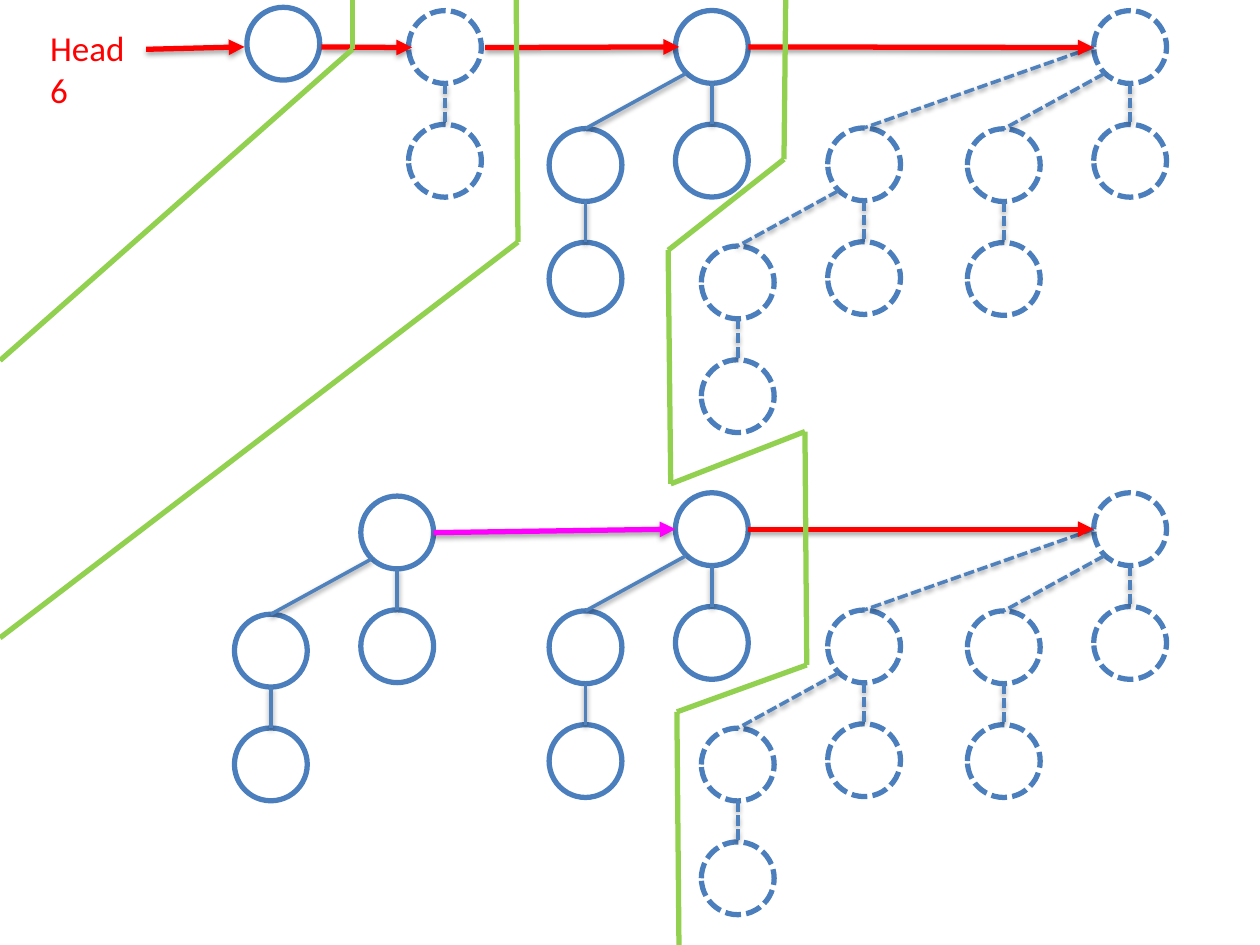
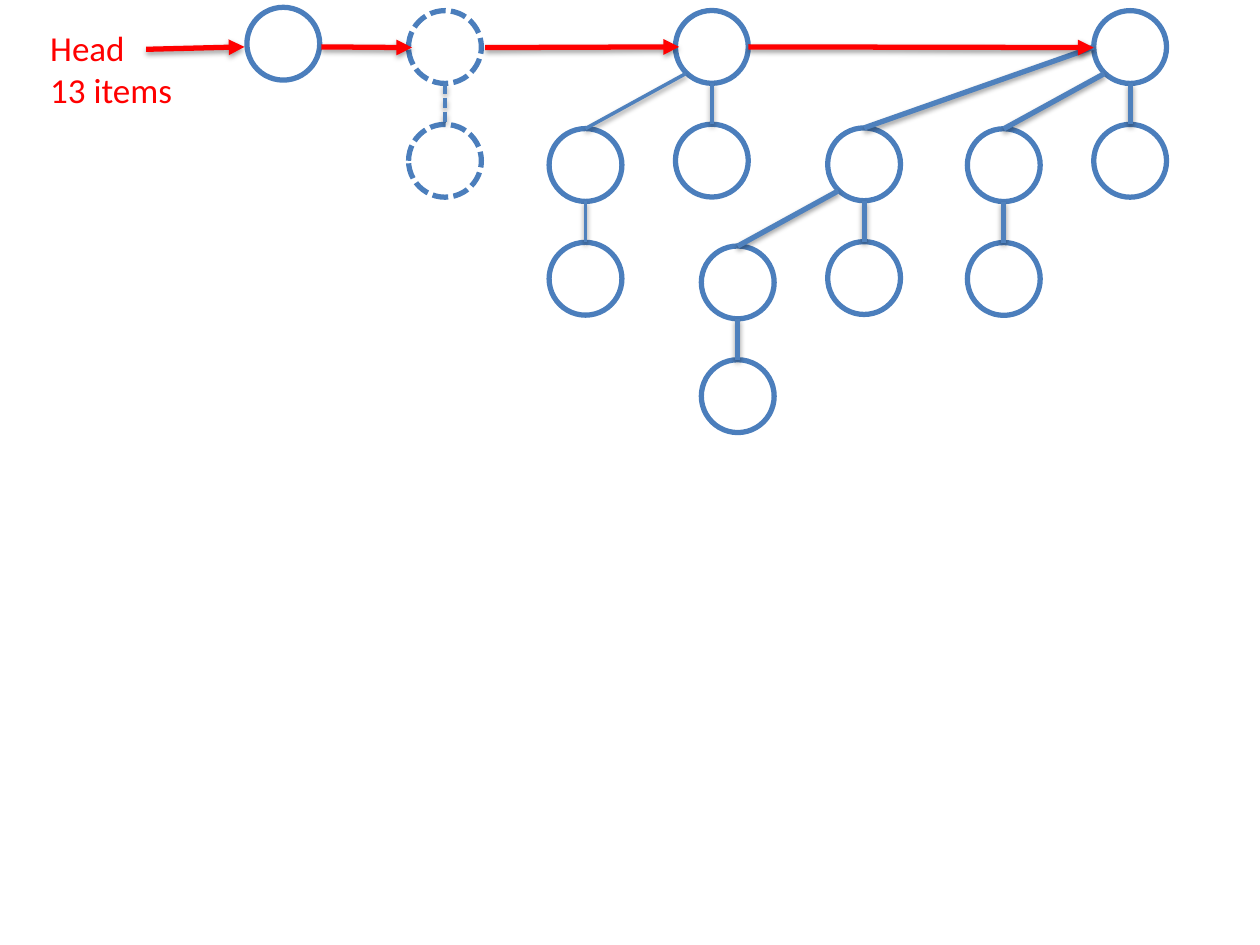
from dataclasses import dataclass
from itertools import pairwise

from lxml import etree
from pptx import Presentation
from pptx.dml.color import RGBColor
from pptx.enum import dml, shapes, text
from pptx.oxml import ns
from pptx.util import Pt

OUTLINE = "4B7EBC"
LINK = "4F81BD"
RED = "FF0000"
MAGENTA = "FF00FF"
GREEN = "92D050"

DIAMETER = 41.6
RADIUS = DIAMETER / 2
CHILD_OFFSETS = [(0, 65), (-72.2, 67.5), (-152, 67)]
LINK_STARTS = [(RADIUS, DIAMETER), (6, 36), (0, RADIUS)]

Point = tuple[float, float]


@dataclass(frozen=True)
class Tree:
    order: int
    left: float
    top: float
    dashed: bool = False
    link_width: float = 2


@dataclass(frozen=True)
class Line:
    start: Point
    end: Point
    color: str
    width: float = 3
    dashed: bool = False
    arrow: bool = False
    shadow: bool = True


@dataclass(frozen=True)
class HeapPage:
    label: str
    label_width: float
    trees: list[Tree]
    arrows: list[Line]
    boundaries: list[list[Point]]


def arrow(start: Point, end: Point, color: str = RED) -> Line:
    return Line(start, end, color, arrow=True)


ROOT_ARROWS = [
    arrow((83.5, 28.2), (139.7, 26.8)),
    arrow((183.6, 26.8), (235.5, 27.2)),
    arrow((277.2, 27.2), (388.1, 26.8)),
    arrow((427.7, 26.8), (625, 27.2)),
]

SMALL_TREES = [
    Tree(0, 141.1, 4.2),
    Tree(1, 233.5, 6.1, dashed=True),
    Tree(2, 386, 6),
]

PAGES = [
    HeapPage(
        "Head\n6",
        57.6,
        SMALL_TREES
        + [
            Tree(3, 625, 6.1, dashed=True),
            Tree(2, 206.2, 283.5),
            Tree(2, 386, 281.6),
            Tree(3, 625, 281.6, dashed=True),
        ],
        ROOT_ARROWS
        + [
            arrow((427.7, 302.4), (625, 302.4)),
            arrow((247.7, 304.4), (386, 302.4), MAGENTA),
        ],
        [
            [(201.6, 0), (201.6, 28), (0, 206)],
            [(295, 0), (296, 138.3), (0, 364.5)],
            [
                (449, 0), (448, 91), (381.8, 143), (383.3, 276.5),
                (460, 246.6), (461, 380), (386.8, 406.8), (388, 540),
            ],
        ],
    ),
    HeapPage(
        "Head\n13 items",
        85,
        SMALL_TREES + [Tree(3, 625, 6.1, link_width=3)],
        ROOT_ARROWS,
        [],
    ),
]


def rgb(color: str) -> RGBColor:
    return RGBColor.from_string(color)


def style_line(line, color: str, width: float, dashed: bool) -> None:
    line.color.rgb = rgb(color)
    line.width = Pt(width)
    if dashed:
        line.dash_style = dml.MSO_LINE.SQUARE_DOT


def draw_line(page, item: Line) -> None:
    connector = page.shapes.add_connector(
        shapes.MSO_CONNECTOR.STRAIGHT, *map(Pt, item.start + item.end)
    )
    style_line(connector.line, item.color, item.width, item.dashed)
    properties = connector._element.spPr
    if item.arrow:
        etree.SubElement(properties.ln, ns.qn("a:tailEnd"), type="triangle")
    effects = etree.SubElement(properties, ns.qn("a:effectLst"))
    if item.shadow:
        shadow = etree.SubElement(
            effects, ns.qn("a:outerShdw"), blurRad=str(Pt(3.1)),
            dist=str(Pt(1.6)), dir="5400000", rotWithShape="0",
        )
        black = etree.SubElement(shadow, ns.qn("a:srgbClr"), val="000000")
        etree.SubElement(black, ns.qn("a:alpha"), val="38000")


def draw_node(page, left: float, top: float, dashed: bool) -> None:
    node = page.shapes.add_shape(
        shapes.MSO_SHAPE.OVAL, Pt(left), Pt(top), Pt(DIAMETER), Pt(DIAMETER)
    )
    node.shadow.inherit = False
    node.fill.background()
    style_line(node.line, OUTLINE, 3, dashed)


def draw_tree(page, tree: Tree) -> None:
    draw_node(page, tree.left, tree.top, tree.dashed)
    for order in range(tree.order):
        across, down = CHILD_OFFSETS[order]
        start_across, start_down = LINK_STARTS[order]
        child = Tree(
            order, tree.left + across, tree.top + down,
            tree.dashed, tree.link_width,
        )
        draw_tree(page, child)
        start = (tree.left + start_across, tree.top + start_down)
        end = (child.left + RADIUS, child.top)
        draw_line(page, Line(start, end, LINK, tree.link_width, tree.dashed))


def draw_label(page, label: str, width: float) -> None:
    box = page.shapes.add_textbox(Pt(21.6), Pt(11.5), Pt(width), Pt(55.7))
    frame = box.text_frame
    frame.word_wrap = False
    frame.auto_size = text.MSO_AUTO_SIZE.SHAPE_TO_FIT_TEXT
    para = frame.paragraphs[0]
    para.text = label
    for span in para.runs:
        span.font.name = "Calibri"
        span.font.size = Pt(20)
        span.font.color.rgb = rgb(RED)


def draw_page(page, heap: HeapPage) -> None:
    for tree in heap.trees:
        draw_tree(page, tree)
    for item in heap.arrows:
        draw_line(page, item)
    for boundary in heap.boundaries:
        for start, end in pairwise(boundary):
            draw_line(page, Line(start, end, GREEN, shadow=False))
    draw_label(page, heap.label, heap.label_width)


def main() -> None:
    deck = Presentation()
    deck.slide_width = Pt(720)
    deck.slide_height = Pt(540)
    for heap in PAGES:
        draw_page(deck.slides.add_slide(deck.slide_layouts[6]), heap)
    deck.save("out.pptx")


if __name__ == "__main__":
    main()
